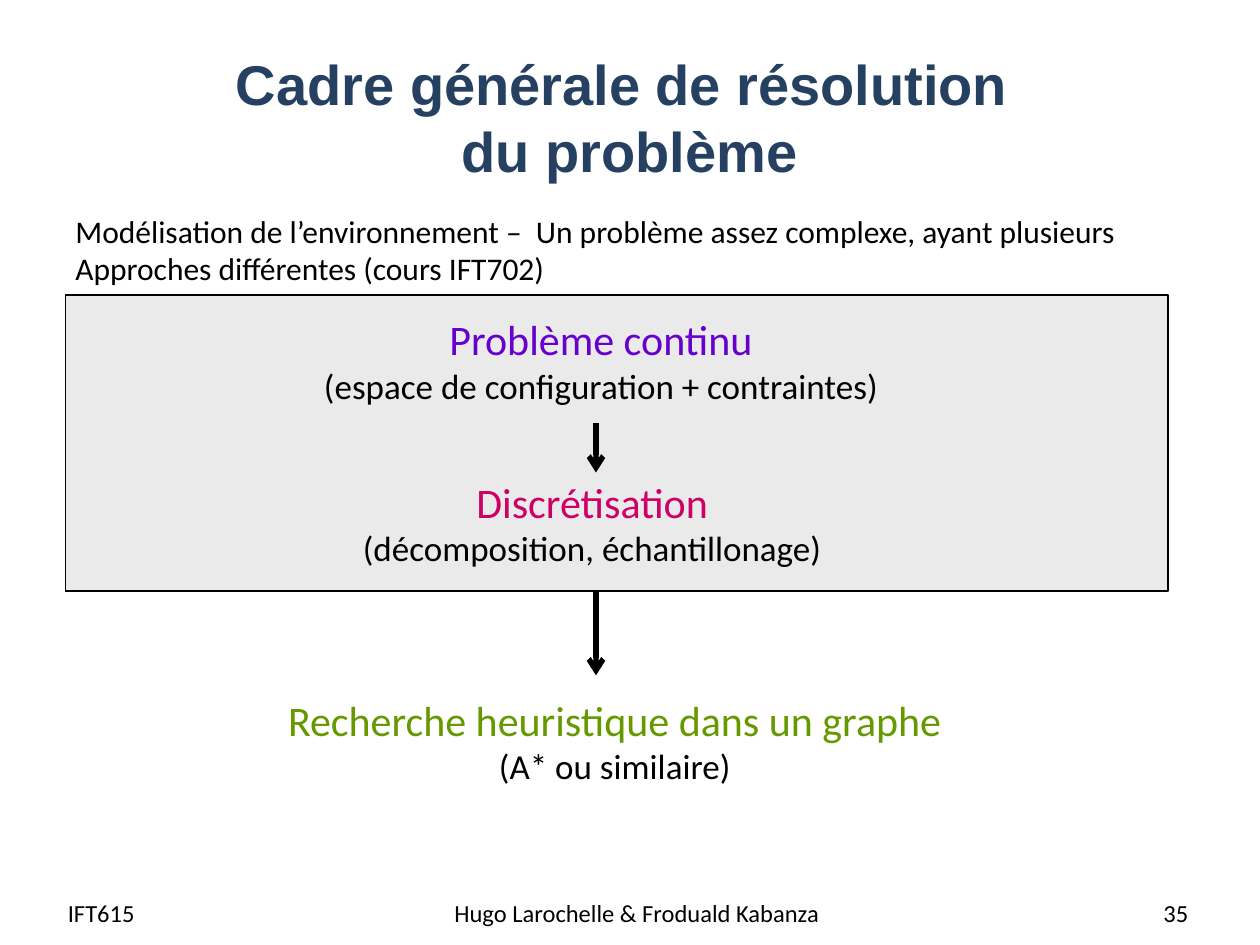
from lxml.etree import SubElement
from pptx import Presentation
from pptx.dml.color import RGBColor
from pptx.enum.shapes import MSO_CONNECTOR, MSO_SHAPE
from pptx.enum.text import MSO_ANCHOR, PP_ALIGN
from pptx.oxml.ns import qn
from pptx.util import Inches, Pt

COLORS = {
    "title": "254061",
    "text": "000000",
    "panel": "EAEAEA",
    "continuous": "6600CC",
    "discrete": "CC0066",
    "search": "669900",
}
ARROW_X = 4.73


def rgb(name):
    """Return the named colour."""
    return RGBColor.from_string(COLORS[name])


def add_text(slide, box, lines, align=PP_ALIGN.LEFT, anchor=MSO_ANCHOR.TOP,
             wrap=True, font="Calibri", bold=False):
    """Add a text box whose lines are (text, size, colour) tuples."""
    frame = slide.shapes.add_textbox(*map(Inches, box)).text_frame
    frame.word_wrap = wrap
    frame.vertical_anchor = anchor
    for index, (text, size, color) in enumerate(lines):
        paragraph = frame.add_paragraph() if index else frame.paragraphs[0]
        paragraph.text = text
        paragraph.alignment = align
        paragraph.font.name = font
        paragraph.font.size = Pt(size)
        paragraph.font.bold = bold
        paragraph.font.color.rgb = rgb(color)


def add_panel(slide, box):
    """Add the grey panel around the modelling steps."""
    panel = slide.shapes.add_shape(MSO_SHAPE.RECTANGLE, *map(Inches, box))
    panel.shadow.inherit = False
    panel.fill.solid()
    panel.fill.fore_color.rgb = rgb("panel")
    panel.line.color.rgb = rgb("text")
    panel.line.width = Pt(0.75)


def add_step(slide, box, heading, detail, color):
    """Add a coloured step heading with its detail below."""
    add_text(slide, box, [(heading, 24, color), (detail, 20, "text")],
             PP_ALIGN.CENTER, wrap=False)


def add_arrow(slide, top, bottom):
    """Add a downward arrow between two steps."""
    arrow = slide.shapes.add_connector(
        MSO_CONNECTOR.STRAIGHT, Inches(ARROW_X), Inches(top),
        Inches(ARROW_X), Inches(bottom))
    arrow.line.color.rgb = rgb("text")
    arrow.line.width = Pt(3)
    SubElement(arrow.line._get_or_add_ln(), qn("a:tailEnd"), type="arrow")
    SubElement(arrow._element.spPr, qn("a:effectLst"))


def add_footer(slide, left, width, text, align):
    """Add one part of the footer."""
    add_text(slide, (left, 7.04, width, 0.4), [(text, 14, "text")],
             align, MSO_ANCHOR.MIDDLE)


def main():
    """Build the slide and save it."""
    deck = Presentation()
    deck.slide_width, deck.slide_height = Inches(10), Inches(7.5)
    slide = deck.slides.add_slide(deck.slide_layouts[6])

    add_panel(slide, (0.52, 2.34, 8.75, 2.35))
    add_step(slide, (2.44, 2.44, 4.66, 0.84), "Problème continu",
             "(espace de configuration + contraintes)", "continuous")
    add_step(slide, (2.72, 3.73, 3.96, 0.84), "Discrétisation",
             "(décomposition, échantillonage)", "discrete")
    add_step(slide, (2.15, 5.46, 5.46, 0.84),
             "Recherche heuristique dans un graphe",
             "(A* ou similaire)", "search")
    add_arrow(slide, 3.36, 3.75)
    add_arrow(slide, 4.69, 5.36)

    add_footer(slide, 0.44, 1.93, "IFT615", PP_ALIGN.LEFT)
    add_footer(slide, 7.2, 2.33, "35", PP_ALIGN.RIGHT)
    add_footer(slide, 3.47, 3.17, "Hugo Larochelle & Froduald Kabanza",
               PP_ALIGN.CENTER)

    add_text(slide, (0.5, 0.3, 9, 1.25),
             [("Cadre générale de résolution \vdu problème", 32, "title")],
             PP_ALIGN.CENTER, MSO_ANCHOR.MIDDLE, font="Arial", bold=True)
    add_text(slide, (0.5, 1.63, 8.61, 0.71), [
        ("Modélisation de l’environnement –  Un problème assez complexe, "
         "ayant plusieurs", 18, "text"),
        ("Approches différentes (cours IFT702)", 18, "text"),
    ], wrap=False)

    deck.save("out.pptx")


if __name__ == "__main__":
    main()
